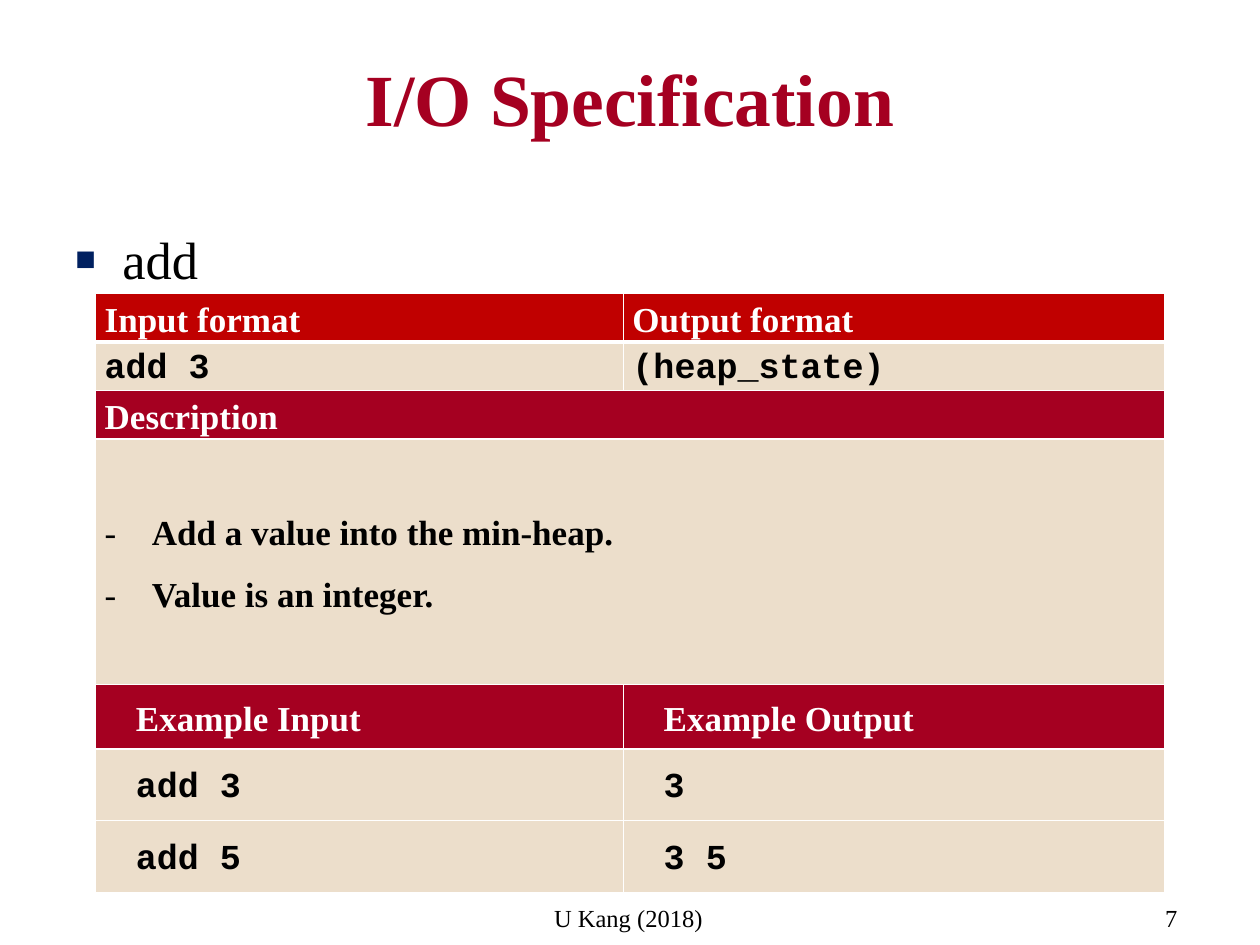
from pptx import Presentation
from pptx.dml.color import RGBColor
from pptx.enum.text import MSO_ANCHOR, MSO_AUTO_SIZE, PP_ALIGN
from pptx.oxml import parse_xml
from pptx.oxml.ns import nsdecls
from pptx.util import Cm, Pt

COLORS = {"crimson": "A50021", "red": "C00000", "sand": "ECDECB",
          "navy": "002060", "black": "000000", "white": "FFFFFF"}
SERIF, MONO = "Times New Roman", "Courier New"

TEXTS = [
    {"text": "U Kang (2018)", "at": (10.92, 18.08, 3.53, 0.86), "size": 14},
    {"text": "7", "at": (23.24, 18.08, 1.09, 0.86), "size": 14},
    {"text": "I/O Specification", "at": (1.27, 0.76, 22.86, 3.18), "size": 42,
     "color": "crimson", "bold": True, "wrap": True, "top": 0.3,
     "format": {"alignment": PP_ALIGN.CENTER}},
    {"text": "add", "at": (1.27, 4.45, 22.86, 2.34), "size": 30, "wrap": True,
     "format": {"space_before": Pt(6)}, "indent": (0.95, -0.95),
     "bullet": ("■", "navy", 65)},
]

TABLE_AT = (1.93, 5.92)
COLUMNS = (10.64, 10.9)
STYLES = {
    "header": {"fill": "red", "color": "white", "font": SERIF},
    "section": {"fill": "crimson", "color": "white", "font": SERIF},
    "code": {"fill": "sand", "color": "black", "font": MONO},
    "notes": {"fill": "sand", "color": "black", "font": SERIF,
              "indent": (0.95, -0.95), "bullet": ("-", "black", 100)},
    "example header": {"fill": "crimson", "color": "white", "font": SERIF,
                       "indent": (1.27, -0.64)},
    "example": {"fill": "sand", "color": "black", "font": MONO,
                "indent": (1.27, -0.64)},
}
ROWS = [
    (0.97, "header", ["Input format", "Output format"]),
    (0.97, "code", ["add 3", "(heap_state)"]),
    (0.97, "section", ["Description"]),
    (4.95, "notes", ["Add a value into the min-heap.\nValue is an integer."]),
    (1.3, "example header", ["Example Input", "Example Output"]),
    (1.45, "example", ["add 3", "3"]),
    (1.45, "example", ["add 5", "3 5"]),
]


def apply(target, values):
    for name, value in values.items():
        setattr(target, name, value)


def add_bullet(properties, bullet):
    symbol, color, percent = bullet
    for body in (f'buClr {nsdecls("a")}><a:srgbClr val="{COLORS[color]}"/></a:buClr>',
                 f'buSzPct {nsdecls("a")} val="{percent * 1000}"/>',
                 f'buFont {nsdecls("a")} typeface="{SERIF}"/>',
                 f'buChar {nsdecls("a")} char="{symbol}"/>'):
        properties.append(parse_xml("<a:" + body))


def write(frame, text, size, font=SERIF, color="black", bold=False,
          values=None, indent=None, bullet=None):
    for index, line in enumerate(text.split("\n")):
        para = frame.paragraphs[0] if index == 0 else frame.add_paragraph()
        apply(para, values or {})
        properties = para._p.get_or_add_pPr()
        if indent:
            properties.set("marL", str(Cm(indent[0])))
            properties.set("indent", str(Cm(indent[1])))
        if bullet:
            add_bullet(properties, bullet)
        span = para.add_run()
        span.text = line
        apply(span.font, {"name": font, "size": Pt(size), "bold": bold})
        span.font.color.rgb = RGBColor.from_string(COLORS[color])


def add_text(page, item):
    box = page.shapes.add_textbox(*map(Cm, item["at"]))
    wrap = item.get("wrap", False)
    apply(box.text_frame, {
        "word_wrap": wrap, "margin_top": Cm(item.get("top", 0.13)),
        "auto_size": MSO_AUTO_SIZE.NONE if wrap else MSO_AUTO_SIZE.SHAPE_TO_FIT_TEXT})
    write(box.text_frame, item["text"], item["size"],
          color=item.get("color", "black"), bold=item.get("bold", False),
          values=item.get("format"), indent=item.get("indent"),
          bullet=item.get("bullet"))


def add_borders(cell, widths):
    properties = cell._tc.get_or_add_tcPr()
    for index, side in enumerate("LRTB"):
        properties.insert(index, parse_xml(
            f'<a:ln{side} {nsdecls("a")} w="{Pt(widths.get(side, 1))}"><a:solidFill>'
            f'<a:srgbClr val="{COLORS["white"]}"/></a:solidFill></a:ln{side}>'))


def add_format_table(page):
    heights = [height for height, _, _ in ROWS]
    table = page.shapes.add_table(len(ROWS), len(COLUMNS), *map(
        Cm, (*TABLE_AT, sum(COLUMNS), sum(heights)))).table
    for column, width in zip(table.columns, COLUMNS):
        column.width = Cm(width)
    for number, (height, style_name, texts) in enumerate(ROWS):
        table.rows[number].height = Cm(height)
        style = STYLES[style_name]
        indent = style.get("indent")
        values = {"line_spacing": 1.15, "space_after": Pt(10),
                  "alignment": PP_ALIGN.JUSTIFY if indent else PP_ALIGN.LEFT}
        if len(texts) < len(COLUMNS):
            table.cell(number, 0).merge(table.cell(number, len(COLUMNS) - 1))
        for position in range(len(COLUMNS)):
            cell = table.cell(number, position)
            apply(cell, {"margin_left": Cm(0.18), "margin_right": Cm(0.18),
                         "margin_top": 0, "margin_bottom": 0,
                         "vertical_anchor": MSO_ANCHOR.MIDDLE})
            cell.fill.solid()
            cell.fill.fore_color.rgb = RGBColor.from_string(COLORS[style["fill"]])
            add_borders(cell, {0: {"B": 3}, 1: {"T": 3}}.get(number, {}))
            if position < len(texts):
                write(cell.text_frame, texts[position], 20, style["font"],
                      style["color"], True, values, indent, style.get("bullet"))


def main():
    deck = Presentation()
    apply(deck, {"slide_width": Cm(25.4), "slide_height": Cm(19.05)})
    page = deck.slides.add_slide(deck.slide_layouts[6])
    for item in TEXTS:
        add_text(page, item)
    add_format_table(page)
    deck.save("out.pptx")


if __name__ == "__main__":
    main()
